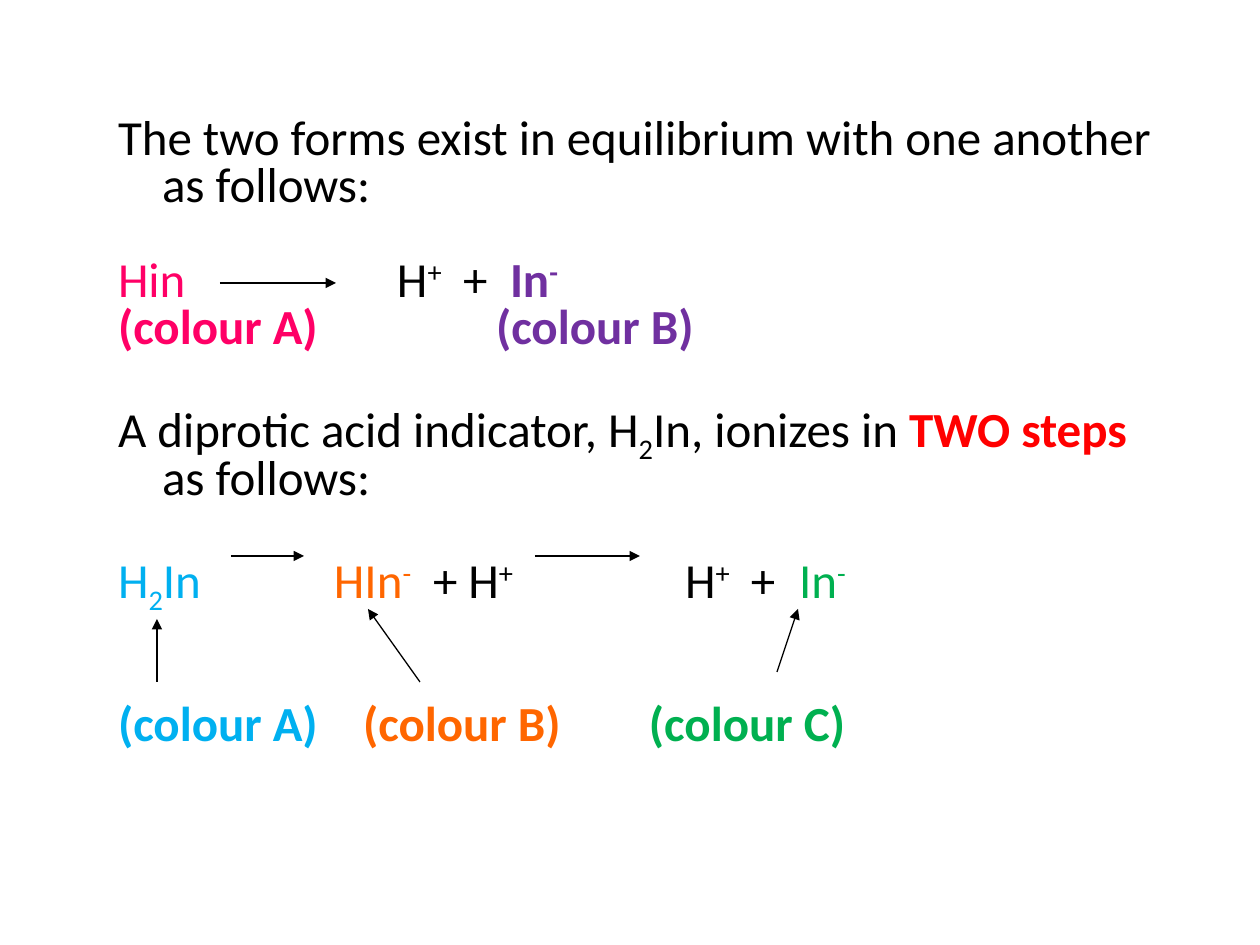
"""Builds the slide on the equilibria of acid indicators."""
from lxml import etree
from pptx import Presentation
from pptx import util as u
from pptx.dml.color import RGBColor
from pptx.enum import shapes, text
from pptx.oxml.ns import qn

PX = 914400 // 126
HANG = 44
BLACK, PINK, PURPLE, RED = "000000", "FF0066", "7030A0", "FF0000"
BLUE, ORANGE, GREEN = "00B0F0", "FF6600", "00B050"
SUPER, SUB = 30, -25


def px(length):
    """Turn pixels into EMU."""
    return u.Emu(length * PX)


def color(value):
    """Turn a hex string into a colour."""
    return RGBColor.from_string(value)


def add_body(slide, left, top, width, height):
    """Add the wrapping text frame that holds all statements."""
    frame = slide.shapes.add_textbox(px(left), px(top), px(width), px(height)).text_frame
    frame.word_wrap = True
    frame.vertical_anchor = text.MSO_ANCHOR.TOP
    frame.margin_left, frame.margin_top = px(24), px(13)
    frame.margin_right, frame.margin_bottom = px(13), px(6)
    return frame


def add_part(paragraph, wording, hue, bold=False, baseline=0):
    """Add one formatted stretch of a statement."""
    part = paragraph.add_run()
    part.text = wording
    part.font.name = "Calibri"
    part.font.size = u.Pt(28)
    part.font.bold = bold
    part.font.color.rgb = color(hue)
    if baseline:
        part.font._element.set("baseline", str(baseline * 1000))


def add_statement(paragraph, parts, gap=0, stops=()):
    """Fill a paragraph: hanging prose, or a formula row on tab stops."""
    paragraph.line_spacing = 0.8
    if gap:
        paragraph.space_before = u.Pt(gap)
    properties = paragraph._p.get_or_add_pPr()
    if stops:
        tabs = etree.SubElement(properties, qn("a:tabLst"))
        for stop in stops:
            etree.SubElement(tabs, qn("a:tab"), pos=str(px(stop)), algn="l")
    else:
        properties.set("marL", str(px(HANG)))
        properties.set("indent", str(-px(HANG)))
    for part in parts:
        add_part(paragraph, *part)


def add_arrow(slide, start, end):
    """Add a thin black arrow pointing at its end."""
    arrow = slide.shapes.add_connector(
        shapes.MSO_CONNECTOR.STRAIGHT, *map(px, start + end))
    arrow.line.width = u.Pt(0.75)
    arrow.line.color.rgb = color(BLACK)
    etree.SubElement(arrow.line._get_or_add_ln(), qn("a:tailEnd"), type="triangle")
    etree.SubElement(arrow._element.spPr, qn("a:effectLst"))


def main():
    """Build and save the slide."""
    deck = Presentation()
    deck.slide_width, deck.slide_height = px(1260), px(945)
    slide = deck.slides.add_slide(deck.slide_layouts[6])

    statements = [
        ([("The two forms exist in equilibrium with one another as follows:", BLACK)],),
        ([("Hin", PINK), ("\tH", BLACK), ("+", BLACK, False, SUPER), ("\t+\t", BLACK),
          ("In", PURPLE, True), ("-", PURPLE, True, SUPER)], 27, (279, 345, 392)),
        ([("(colour A)\t", PINK, True), ("(colour B)", PURPLE, True)], 0, (378,)),
        ([("A diprotic acid indicator, H", BLACK), ("2", BLACK, False, SUB),
          ("In, ionizes in ", BLACK), ("TWO steps ", RED, True),
          ("as follows:", BLACK)], 29),
        ([("H", BLUE), ("2", BLUE, False, SUB), ("In\t", BLUE), ("HIn", ORANGE),
          ("-", ORANGE, False, SUPER), ("\t+ H", BLACK), ("+", BLACK, False, SUPER),
          ("\tH", BLACK), ("+", BLACK, False, SUPER), ("\t+\t", BLACK),
          ("In", GREEN), ("-", GREEN, False, SUPER)], 29, (216, 315, 567, 633, 681)),
        ([("(colour A)\t", BLUE, True), ("(colour B)\t", ORANGE, True),
          ("(colour C)", GREEN, True)], 54, (245, 531)),
    ]
    body = add_body(slide, 94, 105, 1093, 672)
    for index, statement in enumerate(statements):
        paragraph = body.add_paragraph() if index else body.paragraphs[0]
        add_statement(paragraph, *statement)

    arrows = [
        ((220, 283), (336, 283)),
        ((231, 556), (304, 556)),
        ((535, 556), (640, 556)),
        ((420, 682), (368, 609)),
        ((157, 682), (157, 619)),
        ((777, 672), (798, 609)),
    ]
    for start, end in arrows:
        add_arrow(slide, start, end)
    deck.save("out.pptx")


if __name__ == "__main__":
    main()
